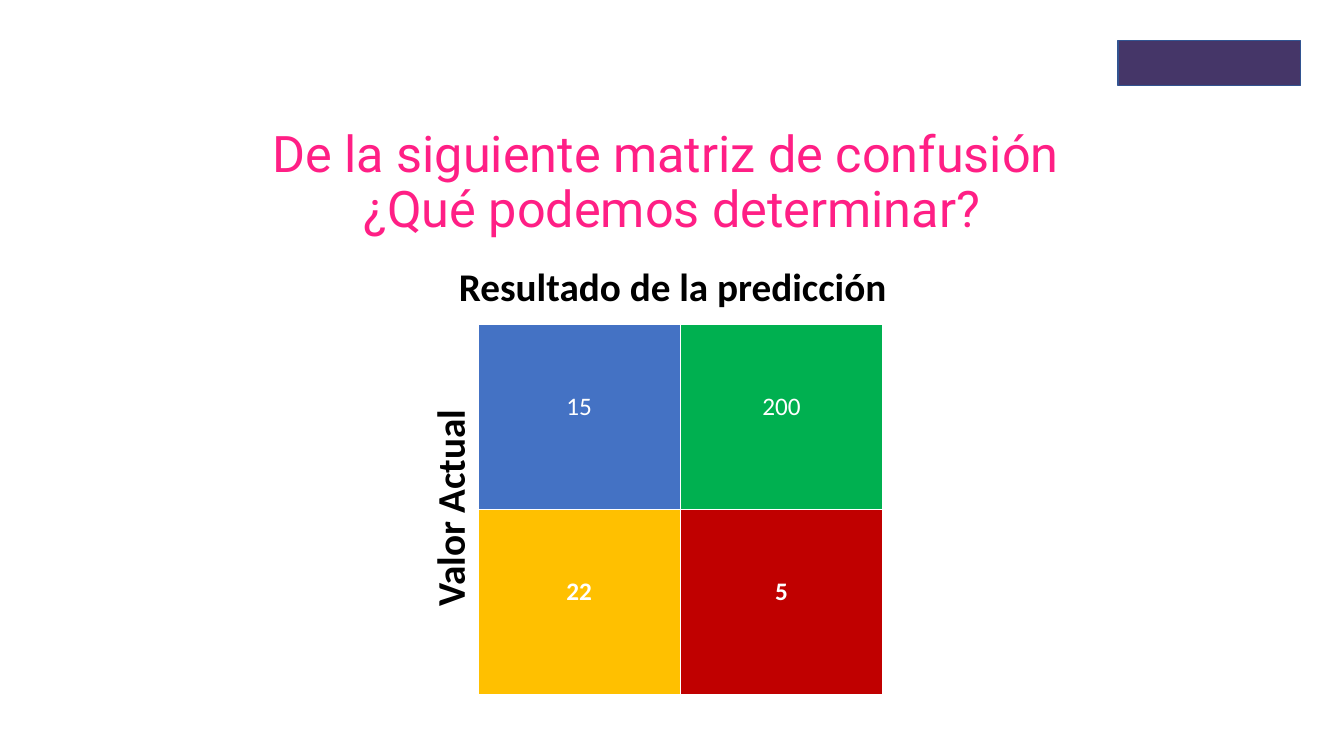
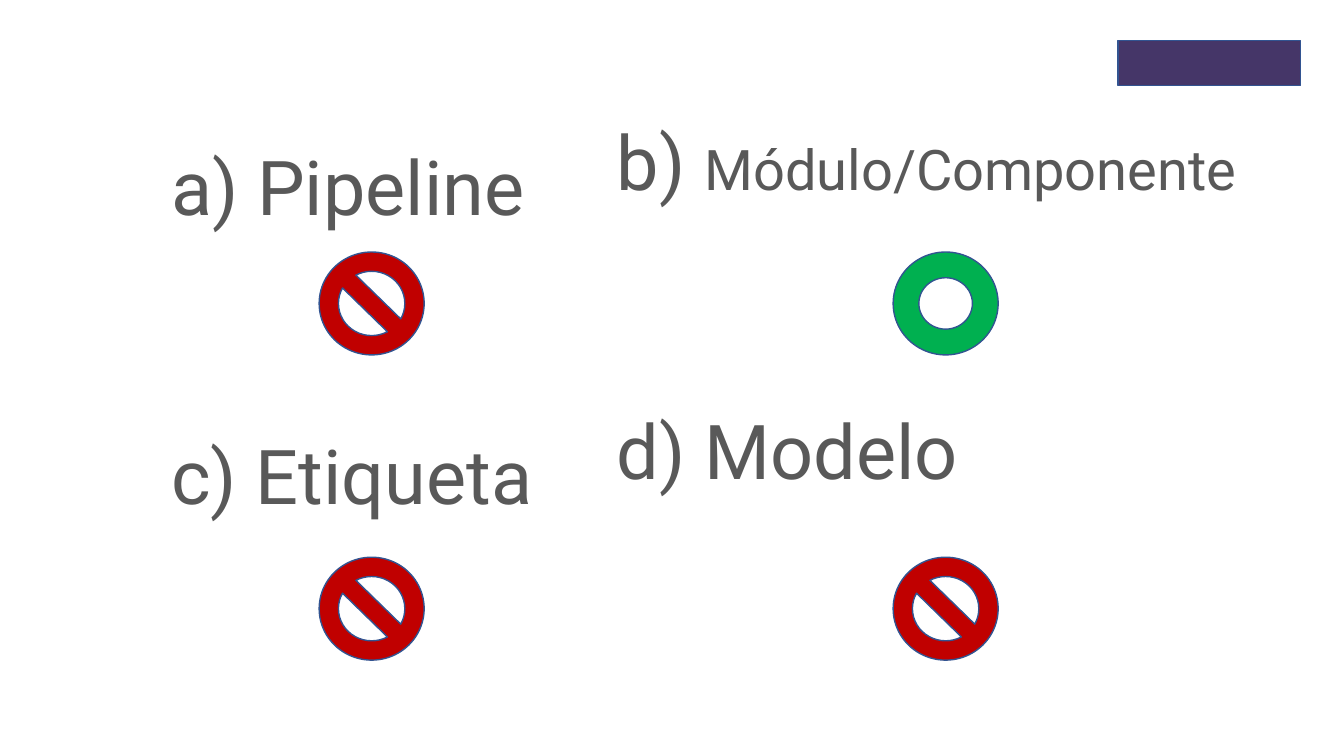
from lxml.etree import SubElement
from pptx import Presentation
from pptx.dml.color import RGBColor
from pptx.enum.shapes import MSO_SHAPE
from pptx.enum.text import MSO_ANCHOR, MSO_AUTO_SIZE, PP_ALIGN
from pptx.oxml.ns import qn
from pptx.util import Pt

PINK, GRAY, BLACK, WHITE = "FF1F85", "595959", "000000", "FFFFFF"
PURPLE, OUTLINE = "453668", "325491"
BLUE, GREEN, YELLOW, RED = "4472C4", "00B050", "FFC000", "C00000"


def add_run(paragraph, text, font_name, size, color, bold=False):
    run = paragraph.add_run()
    run.text = text
    run.font.name = font_name
    run.font.size = Pt(size)
    run.font.bold = bold
    run.font.color.rgb = RGBColor.from_string(color)


def add_filled_shape(slide, kind, left, top, width, height, color):
    shape = slide.shapes.add_shape(kind, Pt(left), Pt(top), Pt(width), Pt(height))
    shape.shadow.inherit = False
    shape.fill.solid()
    shape.fill.fore_color.rgb = RGBColor.from_string(color)
    shape.line.color.rgb = RGBColor.from_string(OUTLINE)
    shape.line.width = Pt(1)
    return shape


presentation = Presentation()
presentation.slide_width = Pt(960)
presentation.slide_height = Pt(540)
matrix_slide = presentation.slides.add_slide(presentation.slide_layouts[5])
answers_slide = presentation.slides.add_slide(presentation.slide_layouts[3])

band = add_filled_shape(matrix_slide, MSO_SHAPE.RECTANGLE, 798.5, 29, 130.5, 32, PURPLE)
presentation.slide_master.element.cSld.spTree.append(band.element)

title = matrix_slide.shapes.title
title.left, title.top, title.width, title.height = Pt(66), Pt(79), Pt(828), Pt(104.5)
title.text_frame.auto_size = MSO_AUTO_SIZE.NONE
title.text_frame.vertical_anchor = MSO_ANCHOR.MIDDLE
paragraph = title.text_frame.paragraphs[0]
paragraph.alignment = PP_ALIGN.CENTER
paragraph.line_spacing = 0.9
add_run(paragraph, "De la siguiente matriz de confusión ", "Roboto", 36, PINK)
paragraph.add_line_break()
add_run(paragraph, "¿Qué podemos determinar?", "Roboto", 36, PINK)

matrix = [
    [("15", BLUE), ("200", GREEN)],
    [("22", YELLOW), ("5", RED)],
]
table = matrix_slide.shapes.add_table(2, 2, Pt(341.5), Pt(232), Pt(289), Pt(264)).table
table.horz_banding = False
for row_index, row in enumerate(matrix):
    for column_index, (value, color) in enumerate(row):
        cell = table.cell(row_index, column_index)
        cell.fill.solid()
        cell.fill.fore_color.rgb = RGBColor.from_string(color)
        cell.margin_top = Pt(47.5)
        paragraph = cell.text_frame.paragraphs[0]
        paragraph.alignment = PP_ALIGN.CENTER
        add_run(paragraph, value, "Calibri", 18, WHITE, bold=row_index == 1)

axis_labels = [
    ("Resultado de la predicción", 315.5, 183.5, 330, 0),
    ("Valor Actual", 188, 342.5, 266, 270),
]
for text, left, top, width, rotation in axis_labels:
    label = matrix_slide.shapes.add_textbox(Pt(left), Pt(top), Pt(width), Pt(41))
    label.rotation = rotation
    label.text_frame.word_wrap = True
    paragraph = label.text_frame.paragraphs[0]
    paragraph.alignment = PP_ALIGN.CENTER
    add_run(paragraph, text, "Calibri", 28, BLACK, bold=True)

answers_title = answers_slide.shapes.title
answers_title.element.getparent().remove(answers_title.element)

answer_columns = [
    (1, 115, 103.5, 344, [[("a) Pipeline", 54)], [("c) Etiqueta", 54)]]),
    (2, 433.5, 85.5, 484.5, [[("b) ", 54), ("Módulo/Componente", 40)], [("d) Modelo", 54)]]),
]
for index, left, top, width, answers in answer_columns:
    body = answers_slide.placeholders[index]
    body.left, body.top, body.width, body.height = Pt(left), Pt(top), Pt(width), Pt(291.5)
    frame = body.text_frame
    frame.auto_size = MSO_AUTO_SIZE.NONE
    for answer, space_before in zip(answers, (10, 148.5)):
        paragraph = frame.paragraphs[0] if answer is answers[0] else frame.add_paragraph()
        paragraph.alignment = PP_ALIGN.JUSTIFY
        paragraph.line_spacing = 0.9
        paragraph.space_before = Pt(space_before)
        properties = paragraph._p.get_or_add_pPr()
        properties.set("marL", "0")
        properties.set("indent", "0")
        SubElement(properties, qn("a:buNone"))
        for text, size in answer:
            add_run(paragraph, text, "Roboto", size, GRAY)

for row_index, top in enumerate((180, 398)):
    for column_index, left in enumerate((228, 638)):
        correct = (row_index, column_index) == (0, 1)
        kind = MSO_SHAPE.DONUT if correct else MSO_SHAPE.NO_SYMBOL
        color = GREEN if correct else RED
        add_filled_shape(answers_slide, kind, left, top, 75, 73.5, color)

presentation.save("out.pptx")
